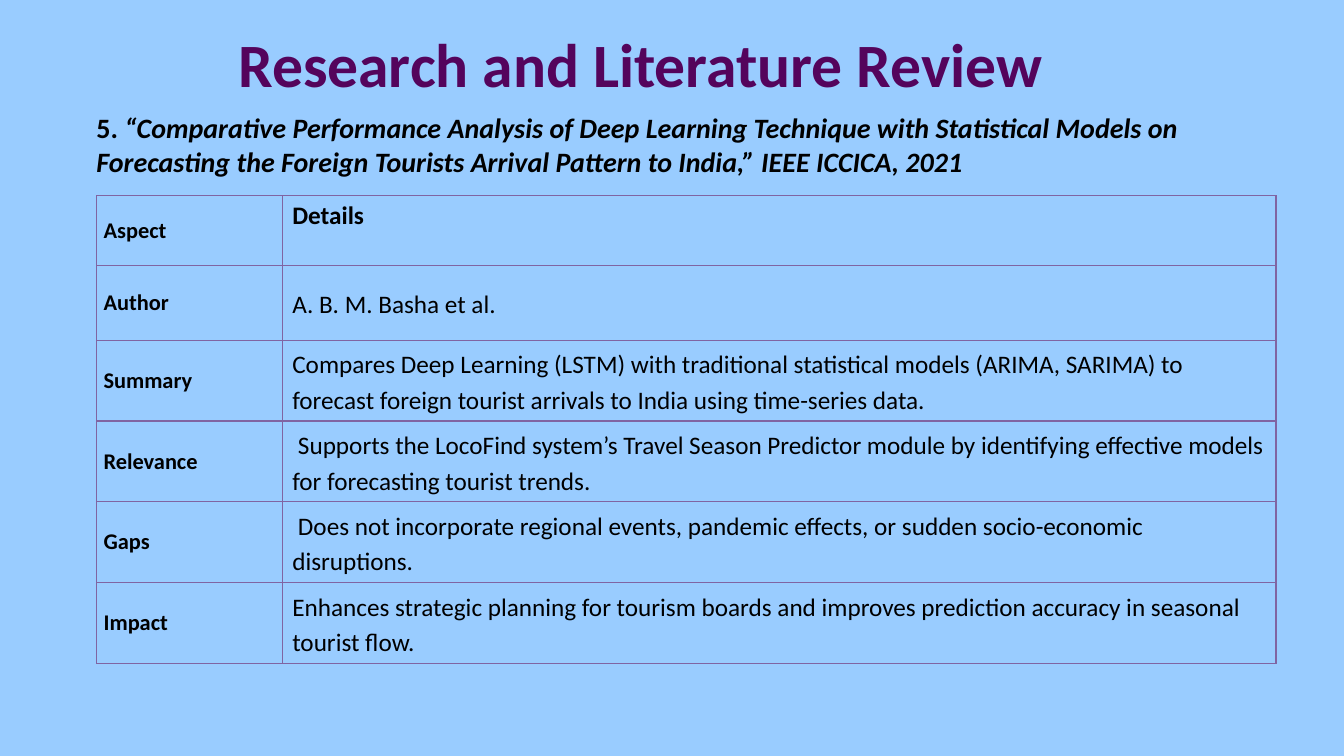
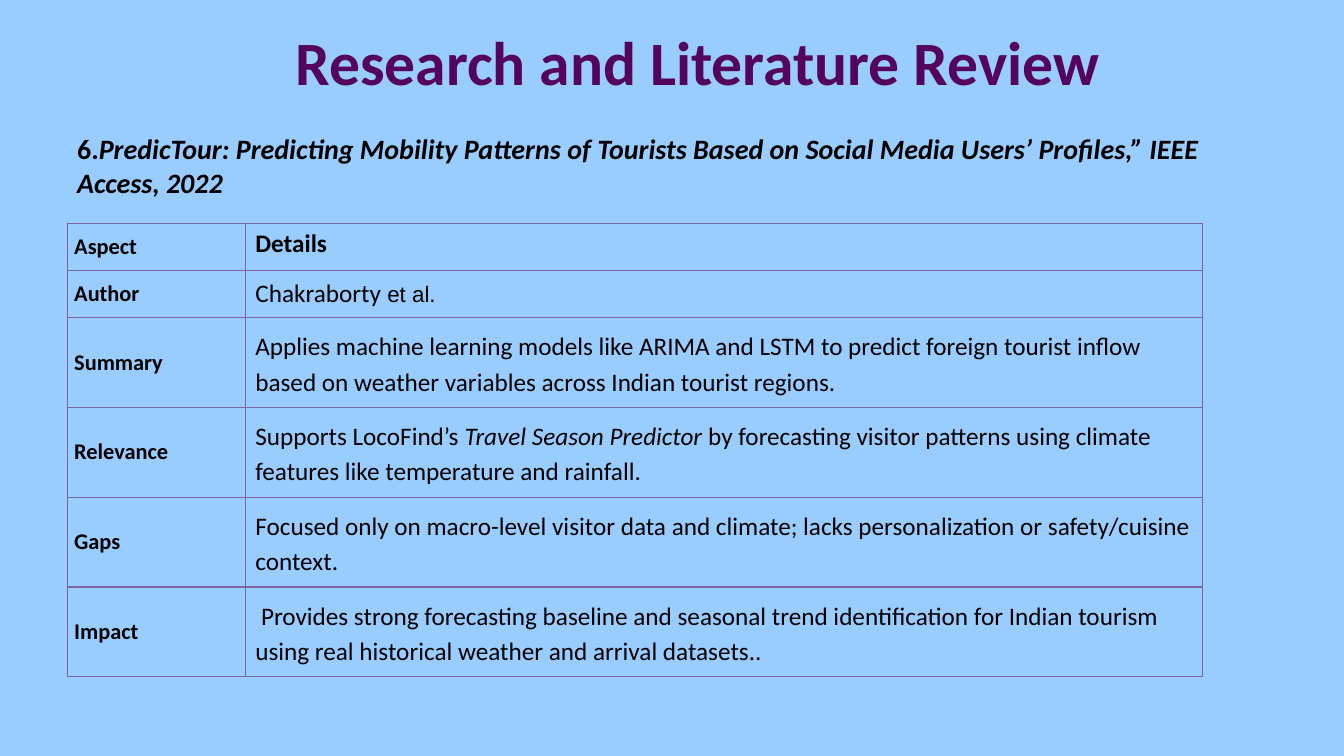
"""Build two literature review slides, each with a citation and a table of aspects."""
from lxml import etree
from pptx import Presentation
from pptx.dml.color import RGBColor
from pptx.enum.text import MSO_ANCHOR, MSO_AUTO_SIZE, PP_ALIGN
from pptx.oxml.ns import qn
from pptx.util import Inches, Pt

SKY = RGBColor(0x99, 0xCC, 0xFF)
PLUM = RGBColor(0x54, 0x04, 0x5C)
VIOLET = RGBColor(0x80, 0x64, 0xA2)
BLACK = RGBColor(0x00, 0x00, 0x00)
TOP, MIDDLE = MSO_ANCHOR.TOP, MSO_ANCHOR.MIDDLE
CENTER, NO_FIT = PP_ALIGN.CENTER, MSO_AUTO_SIZE.NONE
FONT = "Calibri"
TITLE = "Research and Literature Review"
ASPECTS = ["Aspect", "Author", "Summary", "Relevance", "Gaps", "Impact"]
TITLE_ONLY = 5

deck = Presentation()
deck.slide_width, deck.slide_height = Inches(13.33), Inches(7.5)
COLUMN, ROW = deck.slide_width / 160, deck.slide_height / 90
deck.slide_master.background.fill.solid()
deck.slide_master.background.fill.fore_color.rgb = SKY

PAGES = [
    {
        "title": (24.2, 2.5, 104.2, 10.1),
        "citation_box": (10.3, 12.6, 138.2, 13),
        "citation": [
            ("5. ", {}),
            ("“Comparative Performance Analysis of Deep Learning Technique with Statistical "
             "Models on Forecasting the Foreign Tourists Arrival Pattern to India,” "
             "IEEE ICCICA, 2021", {"italic": True}),
        ],
        "table": (11.5, 23.3),
        "columns": [22.1, 118.3],
        "rows": [8.3, 8.9] + [9.5] * 4,
        "author_spacing": 1.15,
        "details": [
            [("A. B. M. Basha et al.", {})],
            [("Compares Deep Learning (LSTM) with traditional statistical models (ARIMA, "
              "SARIMA) to forecast foreign tourist arrivals to India using time-series data.", {})],
            [(" Supports the LocoFind system’s Travel Season Predictor module by identifying "
              "effective models for forecasting tourist trends.", {})],
            [(" Does not incorporate regional events, pandemic effects, or sudden "
              "socio-economic disruptions.", {})],
            [("Enhances strategic planning for tourism boards and improves prediction "
              "accuracy in seasonal tourist flow.", {})],
        ],
    },
    {
        "title": (25.7, 2.3, 114.8, 10.1),
        "citation_box": (8, 15.1, 144.5, 9.2),
        "citation": [
            ("6.", {}),
            ("PredicTour: Predicting Mobility Patterns of Tourists Based on Social Media "
             "Users’ Profiles,” IEEE Access, 2022", {"italic": True}),
        ],
        "table": (8, 26.6),
        "columns": [21.2, 114],
        "rows": [5.6] * 2 + [10.7] * 4,
        "author_spacing": 1,
        "details": [
            [("Chakraborty", {}), (" et al.", {"name": "Arial", "size": Pt(16)})],
            [("Applies machine learning models like ARIMA and LSTM to predict foreign tourist "
              "inflow based on weather variables across Indian tourist regions.", {})],
            [("Supports LocoFind’s ", {}), ("Travel Season Predictor", {"italic": True}),
             (" by forecasting visitor patterns using climate features like temperature "
              "and rainfall.", {})],
            [("Focused only on macro-level visitor data and climate; lacks personalization "
              "or safety/cuisine context.", {})],
            [(" Provides strong forecasting baseline and seasonal trend identification for "
              "Indian tourism using real historical weather and arrival datasets..", {})],
        ],
    },
]


def write(para, spans, size, bold, color=BLACK):
    """Fill a paragraph with spans that share a style, save for their own changes."""
    for text, changes in spans:
        span = para.add_run()
        span.text = text
        font = span.font
        font.name, font.size, font.bold = FONT, Pt(size), bold
        font.color.rgb = color
        for key, value in changes.items():
            setattr(font, key, value)


def style_cell(cell, anchor, side_margin, end_margin):
    """Give a table cell its margins, border and fill."""
    cell.vertical_anchor = anchor
    cell.margin_left = cell.margin_right = Inches(side_margin)
    cell.margin_top = cell.margin_bottom = Inches(end_margin)
    properties = cell._tc.get_or_add_tcPr()
    for side in ("a:lnL", "a:lnR", "a:lnT", "a:lnB"):
        line = etree.SubElement(properties, qn(side), w=str(Pt(1)))
        fill = etree.SubElement(line, qn("a:solidFill"))
        etree.SubElement(fill, qn("a:srgbClr"), val=str(VIOLET))
    cell.fill.solid()
    cell.fill.fore_color.rgb = SKY


for content in PAGES:
    page = deck.slides.add_slide(deck.slide_layouts[TITLE_ONLY])
    title = page.shapes.title
    citation = page.shapes.add_textbox(0, 0, 0, 0)
    for box, place in ((title, content["title"]), (citation, content["citation_box"])):
        left, top, width, height = place
        box.left, box.top = round(left * COLUMN), round(top * ROW)
        box.width, box.height = round(width * COLUMN), round(height * ROW)
        box.text_frame.word_wrap = True
        box.text_frame.auto_size = NO_FIT
        box.text_frame.vertical_anchor = TOP
    heading = title.text_frame.paragraphs[0]
    heading.alignment = CENTER
    write(heading, [(TITLE, {})], 44, True, PLUM)
    write(citation.text_frame.paragraphs[0], content["citation"], 20, True)

    left, top = content["table"]
    table = page.shapes.add_table(
        len(ASPECTS), 2, round(left * COLUMN), round(top * ROW),
        round(sum(content["columns"]) * COLUMN), round(sum(content["rows"]) * ROW)).table
    table.horz_banding = False
    for column, width in zip(table.columns, content["columns"]):
        column.width = round(width * COLUMN)
    details = [[("Details", {})]] + content["details"]
    spacings = [1, content["author_spacing"]] + [1.15] * 4
    for index, (aspect, detail, spacing) in enumerate(zip(ASPECTS, details, spacings)):
        table.rows[index].height = round(content["rows"][index] * ROW)
        label, body = table.cell(index, 0), table.cell(index, 1)
        is_header = index == 0
        style_cell(label, MIDDLE, 0.07, 0.04)
        style_cell(body, TOP if is_header else MIDDLE, 0.1, 0.05)
        write(label.text_frame.paragraphs[0], [(aspect, {})], 16, True)
        para = body.text_frame.paragraphs[0]
        para.line_spacing = float(spacing)
        write(para, detail, 18, is_header)

deck.save("out.pptx")
